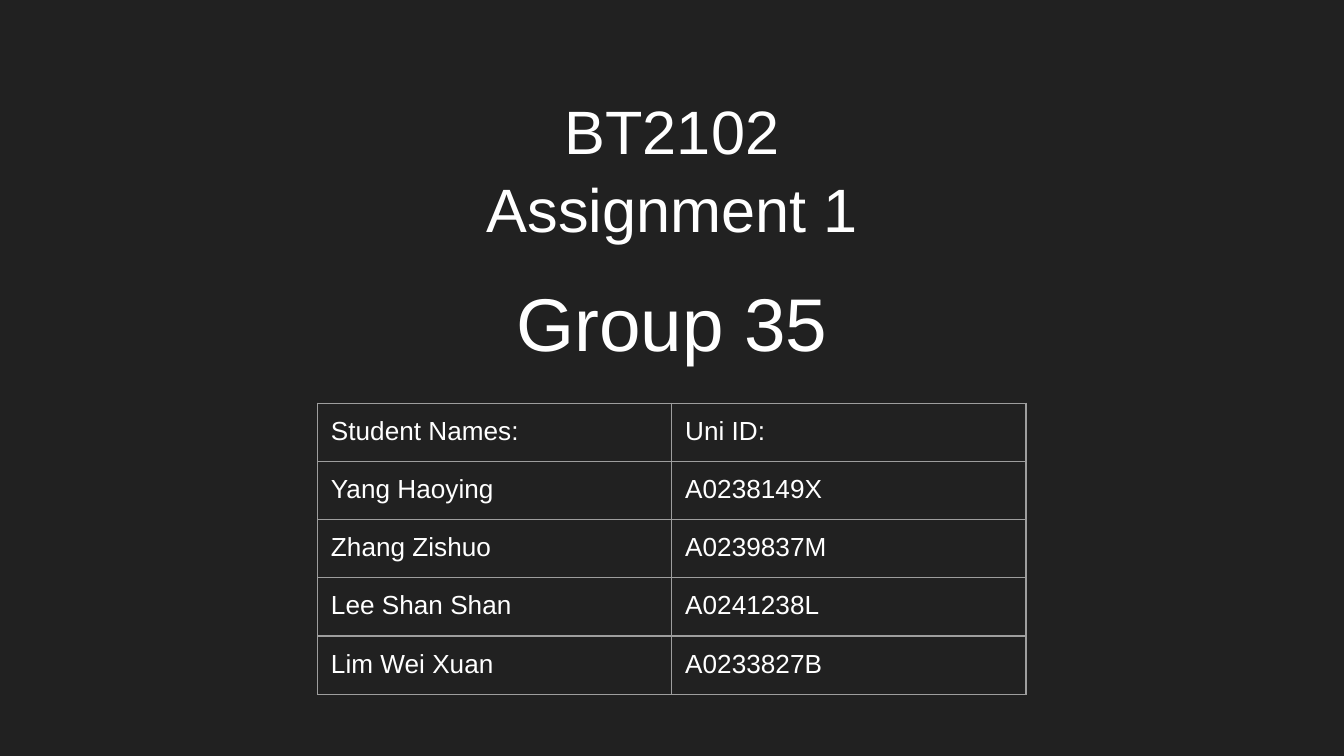
from dataclasses import dataclass

from lxml import etree
from pptx import Presentation
from pptx import util as u
from pptx.dml import color
from pptx.enum import text
from pptx.oxml import ns

COLOURS = {"background": "212121", "text": "FFFFFF", "border": "9E9E9E"}
FONT = "Arial"
INSET = u.Pt(7.2)
COLUMN_WIDTH = u.Pt(189.8)
ROW_HEIGHT = u.Pt(31.2)


@dataclass
class Heading:
    lines: list[str]
    left: float
    top: float
    width: float
    height: float
    size: float
    anchor: text.MSO_ANCHOR


@dataclass
class Member:
    name: str
    student_id: str


COURSE = Heading(["BT2102", "Assignment 1"], 193, 31.7, 334, 106.5, 32.8, text.MSO_ANCHOR.BOTTOM)
GROUP = Heading(["Group 35"], 265.3, 138.2, 189.4, 63.4, 40, text.MSO_ANCHOR.TOP)
ROSTER = [
    Member("Student Names:", "Uni ID:"),
    Member("Yang Haoying", "A0238149X"),
    Member("Zhang Zishuo", "A0239837M"),
    Member("Lee Shan Shan", "A0241238L"),
    Member("Lim Wei Xuan", "A0233827B"),
]


def add_run(paragraph, words: str, size: float) -> None:
    run = paragraph.add_run()
    run.text = words
    run.font.name = FONT
    run.font.size = u.Pt(size)
    run.font.color.rgb = color.RGBColor.from_string(COLOURS["text"])


def set_insets(holder) -> None:
    holder.margin_left = holder.margin_right = INSET
    holder.margin_top = holder.margin_bottom = INSET


def write_heading(box, heading: Heading) -> None:
    box.left, box.top = u.Pt(heading.left), u.Pt(heading.top)
    box.width, box.height = u.Pt(heading.width), u.Pt(heading.height)
    frame = box.text_frame
    frame.word_wrap = True
    frame.auto_size = text.MSO_AUTO_SIZE.NONE
    frame.vertical_anchor = heading.anchor
    set_insets(frame)
    for index, line in enumerate(heading.lines):
        paragraph = frame.add_paragraph() if index else frame.paragraphs[0]
        paragraph.alignment = text.PP_ALIGN.CENTER
        paragraph.line_spacing = 1.06
        add_run(paragraph, line, heading.size)


def add_borders(cell) -> None:
    properties = cell._tc.get_or_add_tcPr()
    for index, side in enumerate(("a:lnL", "a:lnR", "a:lnT", "a:lnB")):
        border = etree.Element(ns.qn(side), w=str(u.Pt(0.75)))
        fill = etree.SubElement(border, ns.qn("a:solidFill"))
        etree.SubElement(fill, ns.qn("a:srgbClr"), val=COLOURS["border"])
        properties.insert(index, border)


def add_roster(slide, members: list[Member]) -> None:
    roster = slide.shapes.add_table(
        len(members), 2, u.Pt(170.1), u.Pt(216), COLUMN_WIDTH * 2, ROW_HEIGHT * len(members)
    ).table
    roster.first_row = roster.horz_banding = False
    for row, member in enumerate(members):
        for column, words in enumerate((member.name, member.student_id)):
            cell = roster.cell(row, column)
            set_insets(cell)
            cell.fill.background()
            add_borders(cell)
            add_run(cell.text_frame.paragraphs[0], words, 14)


def main() -> None:
    deck = Presentation()
    deck.slide_width, deck.slide_height = u.Pt(720), u.Pt(405)
    cover = deck.slides.add_slide(deck.slide_layouts[5])
    cover.background.fill.solid()
    cover.background.fill.fore_color.rgb = color.RGBColor.from_string(COLOURS["background"])
    write_heading(cover.shapes.title, COURSE)
    write_heading(cover.shapes.add_textbox(0, 0, 0, 0), GROUP)
    add_roster(cover, ROSTER)
    deck.save("out.pptx")


if __name__ == "__main__":
    main()
